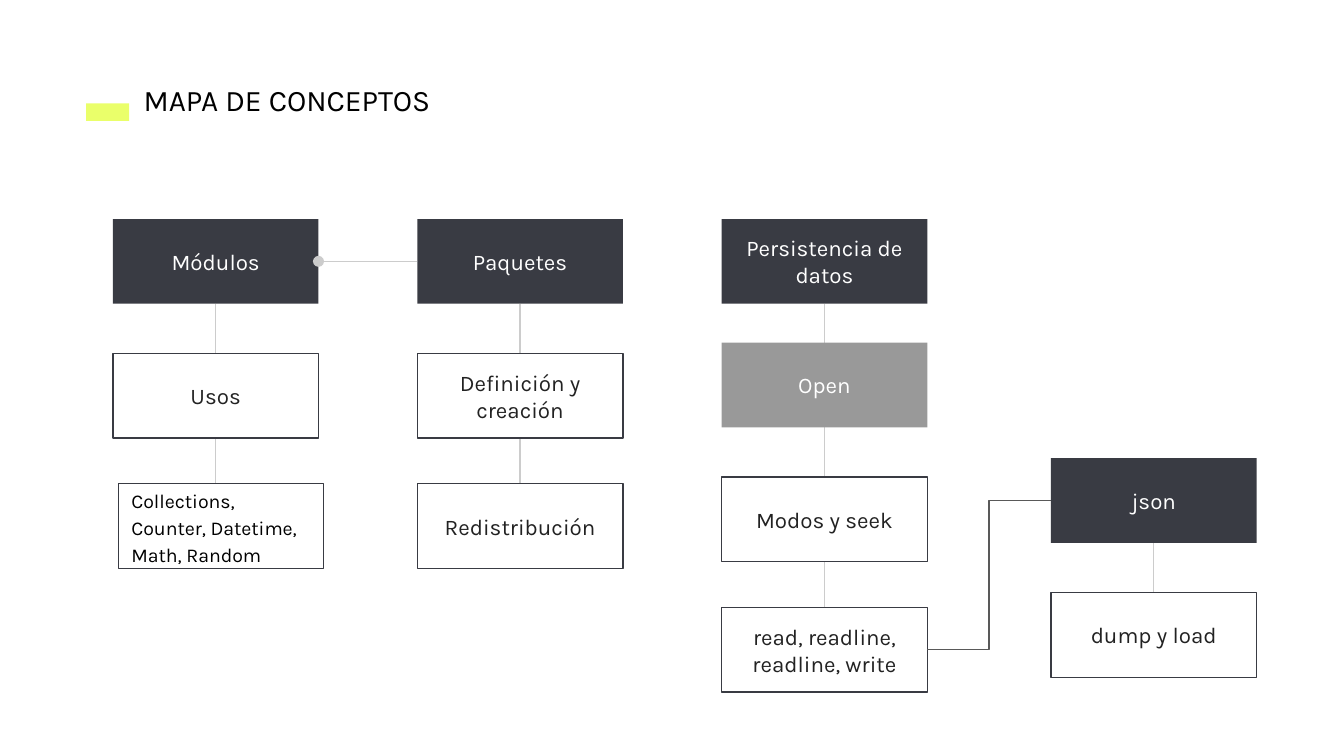
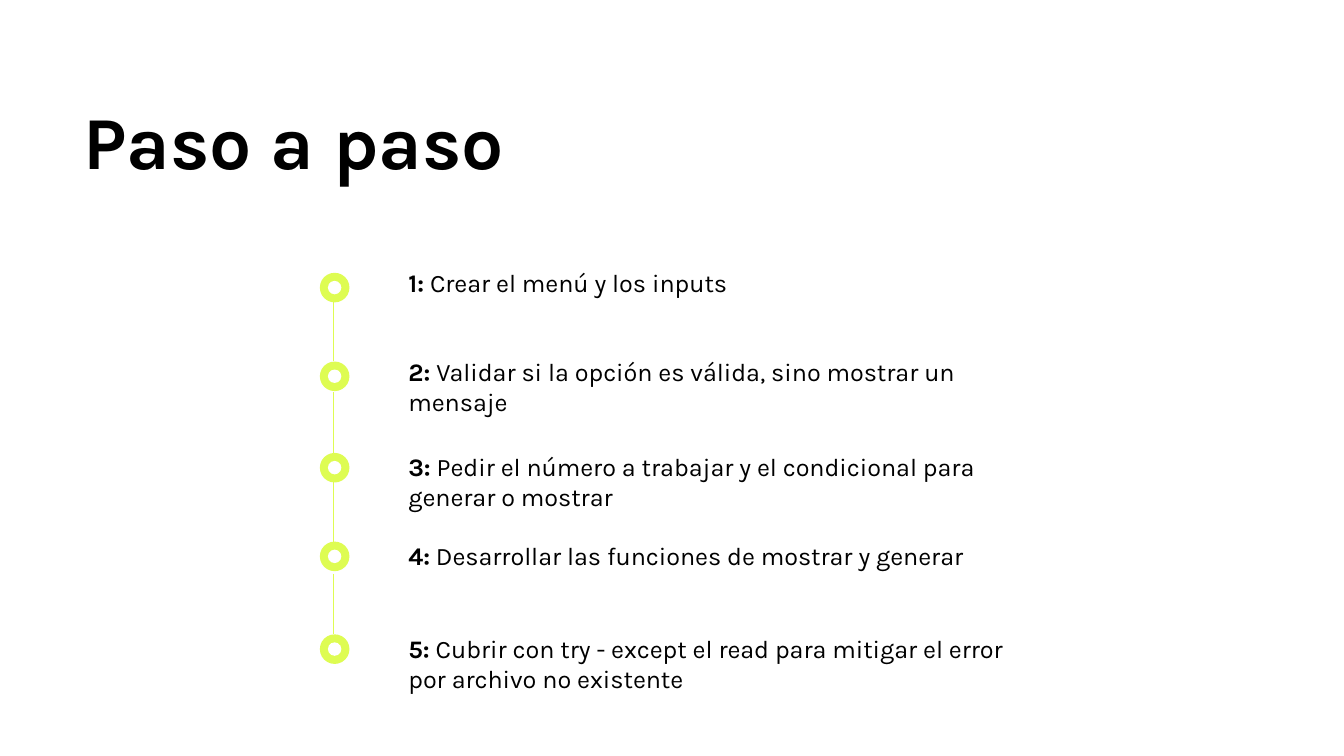
from lxml import etree
from pptx import Presentation
from pptx.dml.color import RGBColor
from pptx.enum.shapes import MSO_CONNECTOR, MSO_SHAPE
from pptx.enum.text import MSO_ANCHOR, MSO_AUTO_SIZE, PP_ALIGN
from pptx.oxml.ns import qn
from pptx.util import Inches, Pt

RECT, OVAL = MSO_SHAPE.RECTANGLE, MSO_SHAPE.OVAL
STRAIGHT, ELBOW = MSO_CONNECTOR.STRAIGHT, MSO_CONNECTOR.ELBOW
LEFT, CENTER = PP_ALIGN.LEFT, PP_ALIGN.CENTER
MIDDLE = MSO_ANCHOR.MIDDLE
GROW = MSO_AUTO_SIZE.SHAPE_TO_FIT_TEXT

# Shared style
FONT = "Karla"
BLACK = RGBColor(0x00, 0x00, 0x00)
WHITE = RGBColor(0xFF, 0xFF, 0xFF)
INK = RGBColor(0x22, 0x22, 0x22)
DARK = RGBColor(0x39, 0x3B, 0x43)
GRAY = RGBColor(0x99, 0x99, 0x99)
LINK = RGBColor(0xCC, 0xCC, 0xCC)
LINK_DARK = RGBColor(0x59, 0x59, 0x59)
YELLOW = RGBColor(0xEA, 0xFF, 0x6A)
LIME = RGBColor(0xDE, 0xFC, 0x52)
LINE_WIDTH = Pt(0.75)

# Concept map grid, in inches
BOX_W, BOX_H = 1.53, 0.63
MODULES, PACKAGES, DATA = (0.84 + 2.265 * i for i in range(3))
JSON = 7.82
ROW_1, ROW_2, ROW_3 = 1.63, 2.63, 3.6

# Timeline, in inches
RING, HOLE = 0.22, 0.1
RING_LEFT, STEP_LEFT, STEP_W = 2.38, 2.94, 4.68
STEPS = [  # ring top, text top, text height, text
    (2.03, 1.89, 0.43, "Crear el menú y los inputs"),
    (2.69, 2.55, 0.66, "Validar si la opción es válida, sino mostrar un mensaje"),
    (3.37, 3.26, 0.66, "Pedir el número a trabajar y el condicional para generar o mostrar"),
    (4.03, 3.92, 0.43, "Desarrollar las funciones de mostrar y generar"),
    (4.72, 4.61, 0.66, "Cubrir con try - except el read para mitigar el error por archivo no existente"),
]


def write(tf, text, size=12, color=BLACK, bold=False, lead="", align=LEFT, spacing=None):
    """Fill a frame with one paragraph, with an optional bold lead-in."""
    tf.word_wrap = True
    tf.margin_left = tf.margin_right = tf.margin_top = tf.margin_bottom = Inches(0.1)
    p = tf.paragraphs[0]
    p.alignment = align
    if spacing:
        p.line_spacing = spacing
    for part, is_bold in ((lead, True), (text, bold)):
        if part:
            r = p.add_run()
            r.text = part
            r.font.name, r.font.size, r.font.bold = FONT, Pt(size), is_bold
            r.font.color.rgb = color


def add_text(s, x, y, w, h, text, **fmt):
    tf = s.shapes.add_textbox(Inches(x), Inches(y), Inches(w), Inches(h)).text_frame
    write(tf, text, **fmt)
    tf.auto_size = GROW


def add_shape(parent, kind, x, y, w, h, fill, line=None):
    sp = parent.shapes.add_shape(kind, Inches(x), Inches(y), Inches(w), Inches(h))
    sp.shadow.inherit = False
    sp.fill.solid()
    sp.fill.fore_color.rgb = fill
    if line is None:
        sp.line.fill.background()
    else:
        sp.line.color.rgb = line
        sp.line.width = LINE_WIDTH
    return sp


def add_box(s, x, y, text, fill=WHITE, **fmt):
    """Concept box: outlined when white, plain with white text otherwise."""
    outlined = fill == WHITE
    sp = add_shape(s, RECT, x, y, BOX_W, BOX_H, fill, DARK if outlined else None)
    style = {"color": INK if outlined else WHITE, "align": CENTER, **fmt}
    write(sp.text_frame, text, **style)
    sp.text_frame.vertical_anchor = MIDDLE


def add_line(s, x1, y1, x2, y2, color=LINK, kind=STRAIGHT, dot=False):
    cx = s.shapes.add_connector(kind, Inches(x1), Inches(y1), Inches(x2), Inches(y2))
    cx.line.color.rgb = color
    cx.line.width = LINE_WIDTH
    if dot:
        etree.SubElement(cx.line._get_or_add_ln(), qn("a:tailEnd"), type="oval")
    etree.SubElement(cx._element.spPr, qn("a:effectLst"))


def add_ring(s, x, y):
    group = s.shapes.add_group_shape()
    inset = (RING - HOLE) / 2
    add_shape(group, OVAL, x, y, RING, RING, LIME)
    add_shape(group, OVAL, x + inset, y + inset, HOLE, HOLE, WHITE)


def build_concept_map(s):
    # Title
    add_shape(s, RECT, 0.64, 0.77, 0.32, 0.13, YELLOW)
    add_text(s, 0.97, 0.51, 2.69, 0.47, "MAPA DE CONCEPTOS", size=16)

    # Vertical links, behind the boxes
    for x, top, bottom in ((MODULES, ROW_1, ROW_3), (PACKAGES, ROW_1, ROW_3),
                           (DATA, ROW_1, 2.55), (DATA, 2.55, 4.52), (JSON, 3.41, 4.41)):
        mid = x + BOX_W / 2
        add_line(s, mid, top + BOX_H, mid, bottom)

    # Boxes
    add_box(s, MODULES, ROW_1, "Módulos", DARK)
    add_box(s, MODULES, ROW_2, "Usos")
    add_box(s, 0.88, ROW_3, "Collections, Counter, Datetime, Math, Random",
            size=10.5, color=BLACK, align=LEFT, spacing=1.15)
    add_box(s, PACKAGES, ROW_1, "Paquetes", DARK)
    add_box(s, PACKAGES, ROW_2, "Definición y creación")
    add_box(s, PACKAGES, ROW_3, "Redistribución")
    add_box(s, DATA, ROW_1, "Persistencia de datos", DARK)
    add_box(s, DATA, 2.55, "Open", GRAY)
    add_box(s, DATA, 3.55, "Modos y seek")
    add_box(s, DATA, 4.52, "read, readline, readline, write")
    add_box(s, JSON, 3.41, "json", DARK)
    add_box(s, JSON, 4.41, "dump y load")

    # Links between columns
    half = BOX_H / 2
    add_line(s, PACKAGES, ROW_1 + half, MODULES + BOX_W, ROW_1 + half, kind=ELBOW, dot=True)
    add_line(s, DATA + BOX_W, 4.52 + half, JSON, 3.41 + half, LINK_DARK, ELBOW)


def build_steps(s):
    add_text(s, 0.52, 0.68, 8.9, 0.81, "Paso a paso", size=40, bold=True, spacing=0.9)

    # Timeline: each ring is joined to the one above
    for number, (ring_top, text_top, height, text) in enumerate(STEPS, 1):
        if number > 1:
            add_line(s, 2.48, ring_top - 0.45, 2.48, ring_top, LIME)
        add_ring(s, RING_LEFT, ring_top)
        add_text(s, STEP_LEFT, text_top, STEP_W, height, " " + text,
                 size=13.5, lead=f"{number}:")


def main():
    prs = Presentation()
    prs.slide_width, prs.slide_height = Inches(10), Inches(5.625)
    blank = prs.slide_layouts[6]
    for build in (build_concept_map, build_steps):
        build(prs.slides.add_slide(blank))
    prs.save("out.pptx")


if __name__ == "__main__":
    main()
